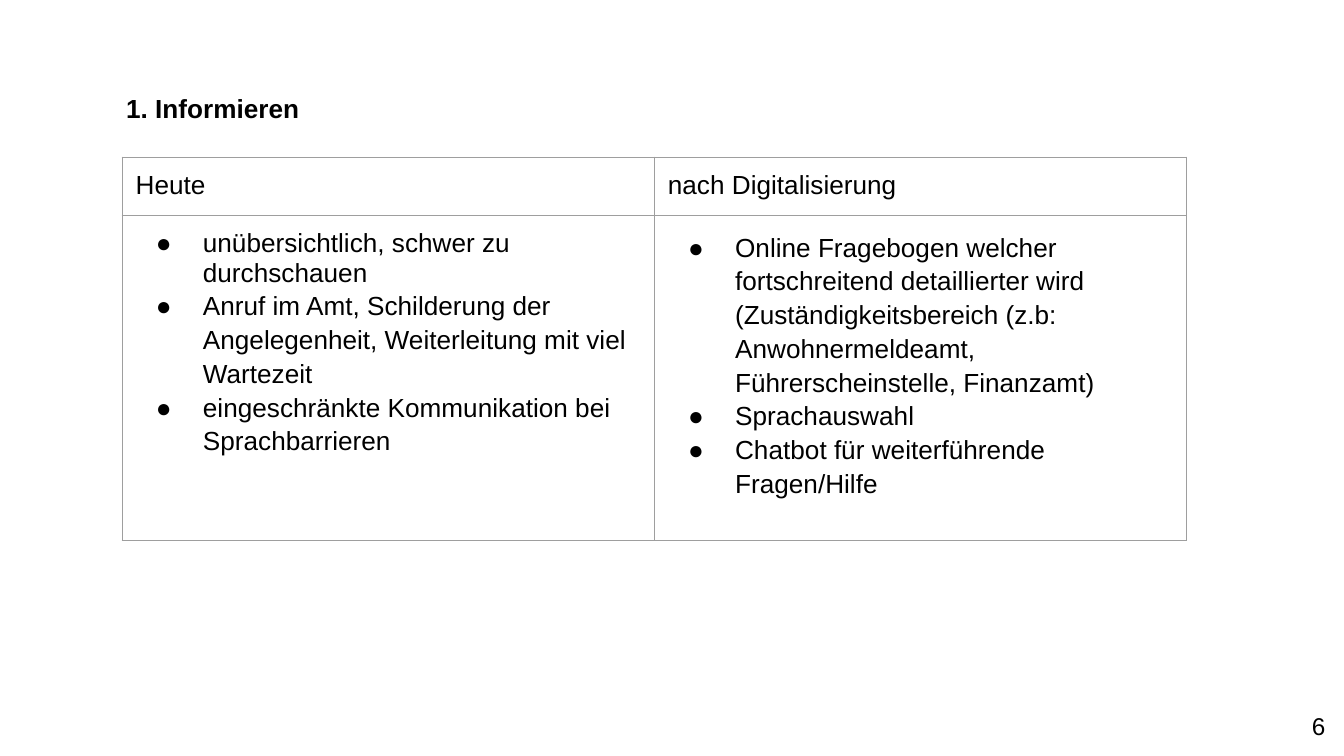
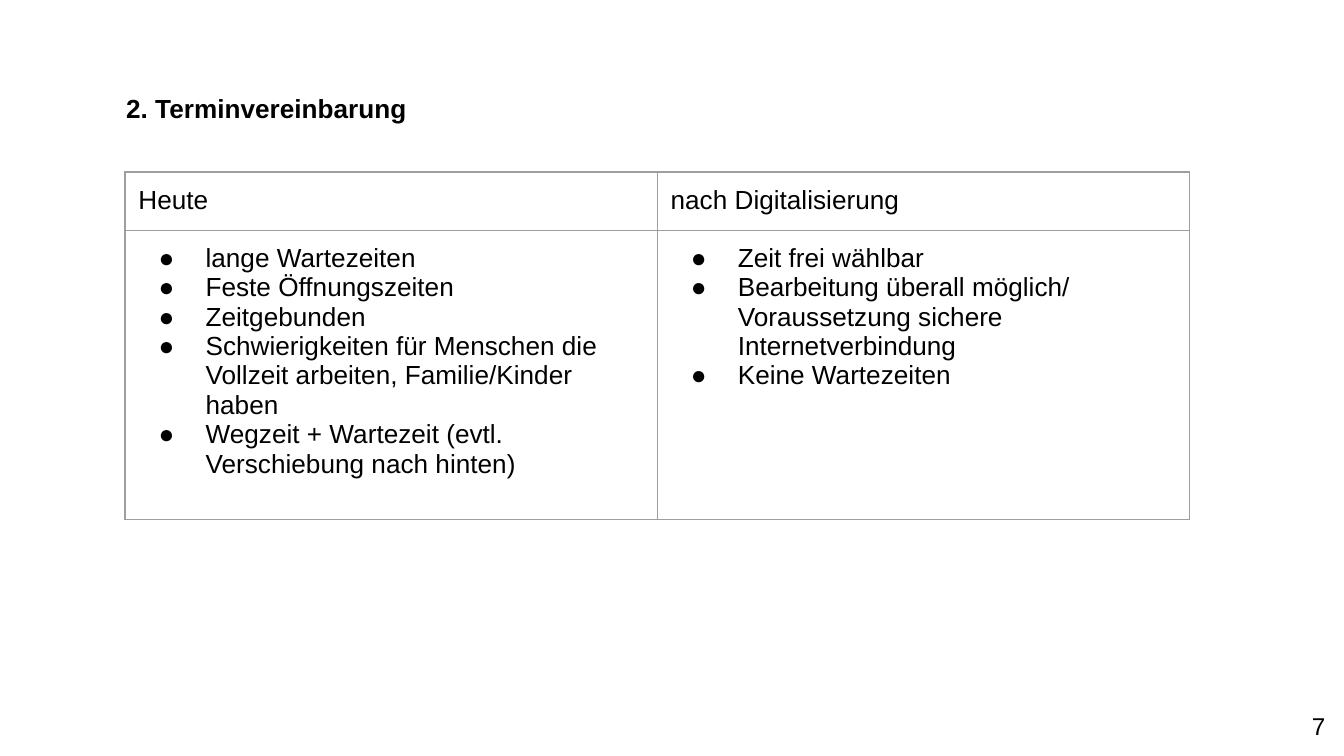
import lxml.etree
import pptx
import pptx.dml.color
import pptx.enum.text
import pptx.oxml.ns
import pptx.util

Inches = pptx.util.Inches
qn = pptx.oxml.ns.qn


def color(hex_string):
    return pptx.dml.color.RGBColor.from_string(hex_string)


class ComparisonDeck:
    """Holds the shared style and the slide being built."""

    FONT = "Arial"
    INK = "000000"
    BORDER = "9E9E9E"
    PAPER = "FFFFFF"
    BODY_SIZE = 14
    NUMBER_SIZE = 13
    MARGIN = 0.1
    COLUMN_WIDTH = 3.96
    HEADER_HEIGHT = 0.42
    HEADERS = ("Heute", "nach Digitalisierung")

    def __init__(self):
        self.presentation = pptx.Presentation()
        self.presentation.slide_width = Inches(10)
        self.presentation.slide_height = Inches(10) * 9 // 16
        self.slide = None

    def add_slide(self):
        self.slide = self.presentation.slides.add_slide(self.presentation.slide_layouts[6])
        background = self.slide.background.fill
        background.solid()
        background.fore_color.rgb = color(self.PAPER)

    def format_runs(self, paragraph, size, bold=False):
        for run in paragraph.runs:
            run.font.name = self.FONT
            run.font.size = pptx.util.Pt(size)
            run.font.bold = bold
            run.font.color.rgb = color(self.INK)

    def set_margins(self, holder):
        for side in ("left", "top", "right", "bottom"):
            setattr(holder, f"margin_{side}", Inches(self.MARGIN))

    def indent(self, paragraph, left, first_line=0):
        properties = paragraph._p.get_or_add_pPr()
        properties.set("marL", str(Inches(left)))
        properties.set("indent", str(Inches(first_line)))
        return properties

    def text(self, content, left, top, width, height, size, bold=False):
        shape = self.slide.shapes.add_textbox(
            Inches(left), Inches(top), Inches(width), Inches(height))
        text_frame = shape.text_frame
        text_frame.word_wrap = True
        self.set_margins(text_frame)
        text_frame.text = content
        self.format_runs(text_frame.paragraphs[0], size, bold)
        return text_frame

    def title(self, content):
        text_frame = self.text(content, 0.34, 0.49, 9.32, 0.63, self.BODY_SIZE, True)
        text_frame.vertical_anchor = pptx.enum.text.MSO_ANCHOR.MIDDLE
        self.indent(text_frame.paragraphs[0], 0.5)

    def page_number(self, number):
        text_frame = self.text(str(number), 9.36, 5.19, 0.6, 0.43, self.NUMBER_SIZE)
        text_frame.paragraphs[0].alignment = pptx.enum.text.PP_ALIGN.RIGHT

    def bullet(self, paragraph, spacing):
        paragraph.line_spacing = spacing
        properties = self.indent(paragraph, 0.5, -0.35)
        bullet_color = lxml.etree.SubElement(properties, qn("a:buClr"))
        lxml.etree.SubElement(bullet_color, qn("a:srgbClr"), val=self.INK)
        lxml.etree.SubElement(properties, qn("a:buFont"), typeface=self.FONT)
        lxml.etree.SubElement(properties, qn("a:buChar"), char="●")

    def style_cell(self, cell):
        properties = cell._tc.get_or_add_tcPr()
        for side in ("L", "R", "T", "B"):
            line = lxml.etree.SubElement(
                properties, qn(f"a:ln{side}"), w=str(pptx.util.Pt(0.75)))
            fill = lxml.etree.SubElement(line, qn("a:solidFill"))
            lxml.etree.SubElement(fill, qn("a:srgbClr"), val=self.BORDER)
        cell.fill.background()
        self.set_margins(cell)
        for paragraph in cell.text_frame.paragraphs:
            self.format_runs(paragraph, self.BODY_SIZE)

    def comparison(self, left, top, body_height, columns):
        heights = (self.HEADER_HEIGHT, body_height)
        table = self.slide.shapes.add_table(
            2, len(columns), Inches(left), Inches(top),
            Inches(self.COLUMN_WIDTH * len(columns)), Inches(sum(heights))).table
        table.first_row = False
        table.horz_banding = False
        for row, height in zip(table.rows, heights):
            row.height = Inches(height)
        for index, (header, bullets) in enumerate(zip(self.HEADERS, columns)):
            table.columns[index].width = Inches(self.COLUMN_WIDTH)
            table.cell(0, index).text_frame.text = header
            text_frame = table.cell(1, index).text_frame
            text_frame.text = "\n".join(content for content, spacing in bullets)
            for paragraph, (content, spacing) in zip(text_frame.paragraphs, bullets):
                self.bullet(paragraph, spacing)
        for cell in table.iter_cells():
            self.style_cell(cell)


def main():
    slides = [
        ("1. Informieren", 0.91, 1.17, 2.42, [
            [("unübersichtlich, schwer zu durchschauen", 1.0),
             ("Anruf im Amt, Schilderung der Angelegenheit, "
              "Weiterleitung mit viel Wartezeit", 1.15),
             ("eingeschränkte Kommunikation bei Sprachbarrieren", 1.15)],
            [("Online Fragebogen welcher fortschreitend detaillierter wird "
              "(Zuständigkeitsbereich (z.b: Anwohnermeldeamt, "
              "Führerscheinstelle, Finanzamt)", 1.15),
             ("Sprachauswahl", 1.15),
             ("Chatbot für weiterführende Fragen/Hilfe", 1.15)],
        ]),
        ("2. Terminvereinbarung", 0.93, 1.28, 2.15, [
            [("lange Wartezeiten", 1.0),
             ("Feste Öffnungszeiten", 1.0),
             ("Zeitgebunden", 1.0),
             ("Schwierigkeiten für Menschen die Vollzeit arbeiten, "
              "Familie/Kinder haben", 1.0),
             ("Wegzeit + Wartezeit (evtl. Verschiebung nach hinten)", 1.0)],
            [("Zeit frei wählbar", 1.0),
             ("Bearbeitung überall möglich/ Voraussetzung sichere "
              "Internetverbindung", 1.0),
             ("Keine Wartezeiten", 1.0)],
        ]),
    ]
    deck = ComparisonDeck()
    for number, (title, left, top, body_height, columns) in enumerate(slides, start=6):
        deck.add_slide()
        deck.title(title)
        deck.comparison(left, top, body_height, columns)
        deck.page_number(number)
    deck.presentation.save("out.pptx")


if __name__ == "__main__":
    main()
